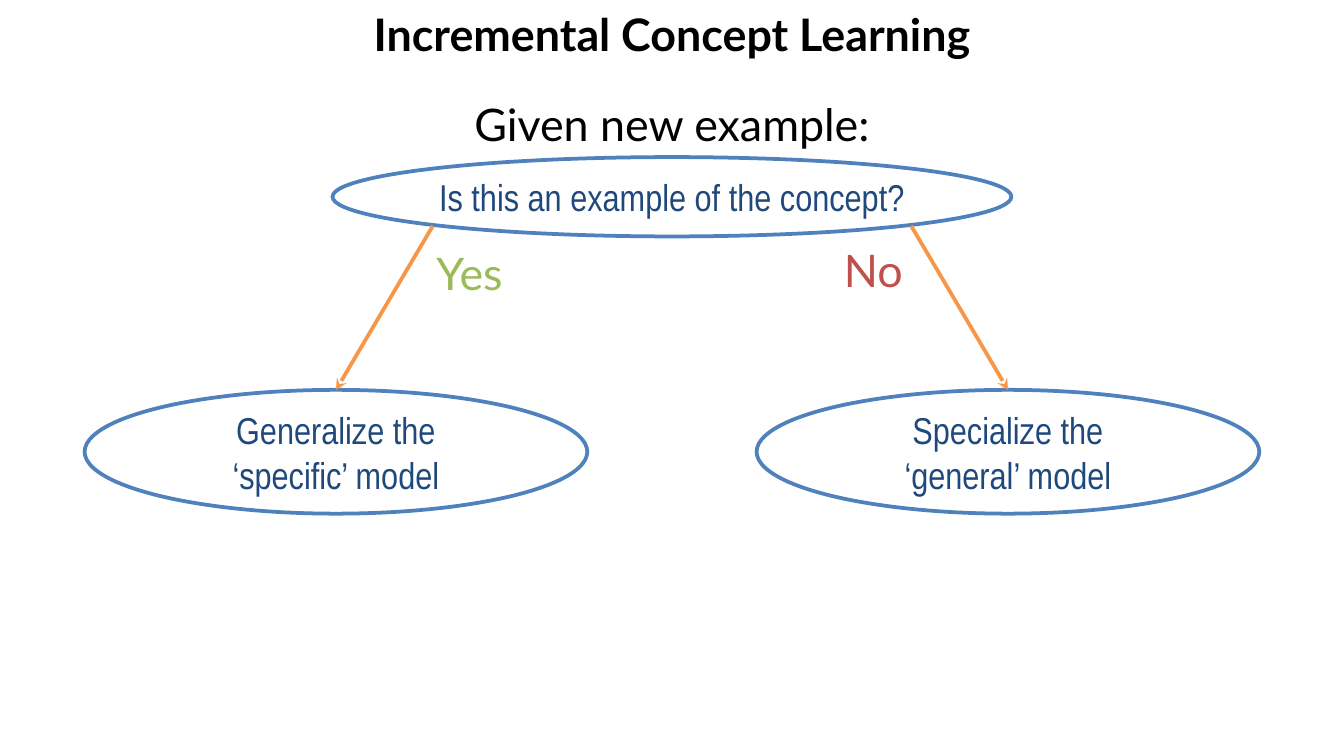
from dataclasses import dataclass

from lxml import etree
from pptx import Presentation
from pptx import util as u
from pptx.dml import color
from pptx.enum import shapes, text
from pptx.oxml import ns


@dataclass(frozen=True)
class Theme:
    black: color.RGBColor = color.RGBColor.from_string("000000")
    white: color.RGBColor = color.RGBColor.from_string("FFFFFF")
    outline: color.RGBColor = color.RGBColor.from_string("4F81BD")
    navy: color.RGBColor = color.RGBColor.from_string("1F497D")
    orange: color.RGBColor = color.RGBColor.from_string("F79646")
    green: color.RGBColor = color.RGBColor.from_string("9BBB59")
    red: color.RGBColor = color.RGBColor.from_string("C0504D")
    heading: u.Pt = u.Pt(24)
    body: u.Pt = u.Pt(20)
    stroke: u.Pt = u.Pt(2)


theme = Theme()


def write(frame, wording, font, size, ink, align, bold=False):
    frame.text = wording
    for paragraph in frame.paragraphs:
        paragraph.alignment = align
        for run in paragraph.runs:
            run.font.name = font
            run.font.size = size
            run.font.bold = bold
            run.font.color.rgb = ink


deck = Presentation()
deck.slide_width, deck.slide_height = u.Cm(25.4), u.Cm(14.29)
slide = deck.slides.add_slide(deck.slide_layouts[6])
center, left = text.PP_ALIGN.CENTER, text.PP_ALIGN.LEFT

for wording, top, bold in [("Incremental Concept Learning", 0, True),
                           ("Given new example:", 1.7, False)]:
    heading = slide.shapes.add_textbox(0, u.Cm(top), deck.slide_width, u.Cm(1.27))
    heading.text_frame.word_wrap = True
    write(heading.text_frame, wording, "Lato", theme.heading, theme.black, center, bold)

for wording, middle, top, width, height in [
    ("Is this an example of the concept?", 12.7, 2.97, 12.83, 1.5),
    ("Generalize the\n‘specific’ model", 6.35, 7.37, 9.5, 2.34),
    ("Specialize the\n‘general’ model", 19.05, 7.37, 9.5, 2.34),
]:
    step = slide.shapes.add_shape(shapes.MSO_SHAPE.OVAL, u.Cm(middle - width / 2),
                                  u.Cm(top), u.Cm(width), u.Cm(height))
    step.shadow.inherit = False
    step.fill.solid()
    step.fill.fore_color.rgb = theme.white
    step.line.color.rgb = theme.outline
    step.line.width = theme.stroke
    frame = step.text_frame
    frame.word_wrap = True
    frame.vertical_anchor = text.MSO_ANCHOR.MIDDLE
    frame.margin_left = frame.margin_right = frame.margin_top = frame.margin_bottom = 0
    write(frame, wording, "Arial Narrow", theme.body, theme.navy, center)

for start, end in [(8.18, 6.35), (17.22, 19.05)]:
    branch = slide.shapes.add_connector(shapes.MSO_CONNECTOR.STRAIGHT, u.Cm(start),
                                        u.Cm(4.27), u.Cm(end), u.Cm(7.37))
    branch.line.color.rgb = theme.orange
    branch.line.width = theme.stroke
    stroke = branch.line._get_or_add_ln()
    etree.SubElement(stroke, ns.qn("a:tailEnd"), type="stealth")
    etree.SubElement(stroke.getparent(), ns.qn("a:effectLst"))

for wording, x, y, width, ink in [("Yes", 8, 4.52, 1.9, theme.green),
                                  ("No", 15.7, 4.47, 1.68, theme.red)]:
    answer = slide.shapes.add_textbox(u.Cm(x), u.Cm(y), u.Cm(width), u.Cm(1.27))
    answer.text_frame.word_wrap = False
    answer.text_frame.auto_size = text.MSO_AUTO_SIZE.SHAPE_TO_FIT_TEXT
    write(answer.text_frame, wording, "Lato", theme.heading, ink, left)

deck.save("out.pptx")
